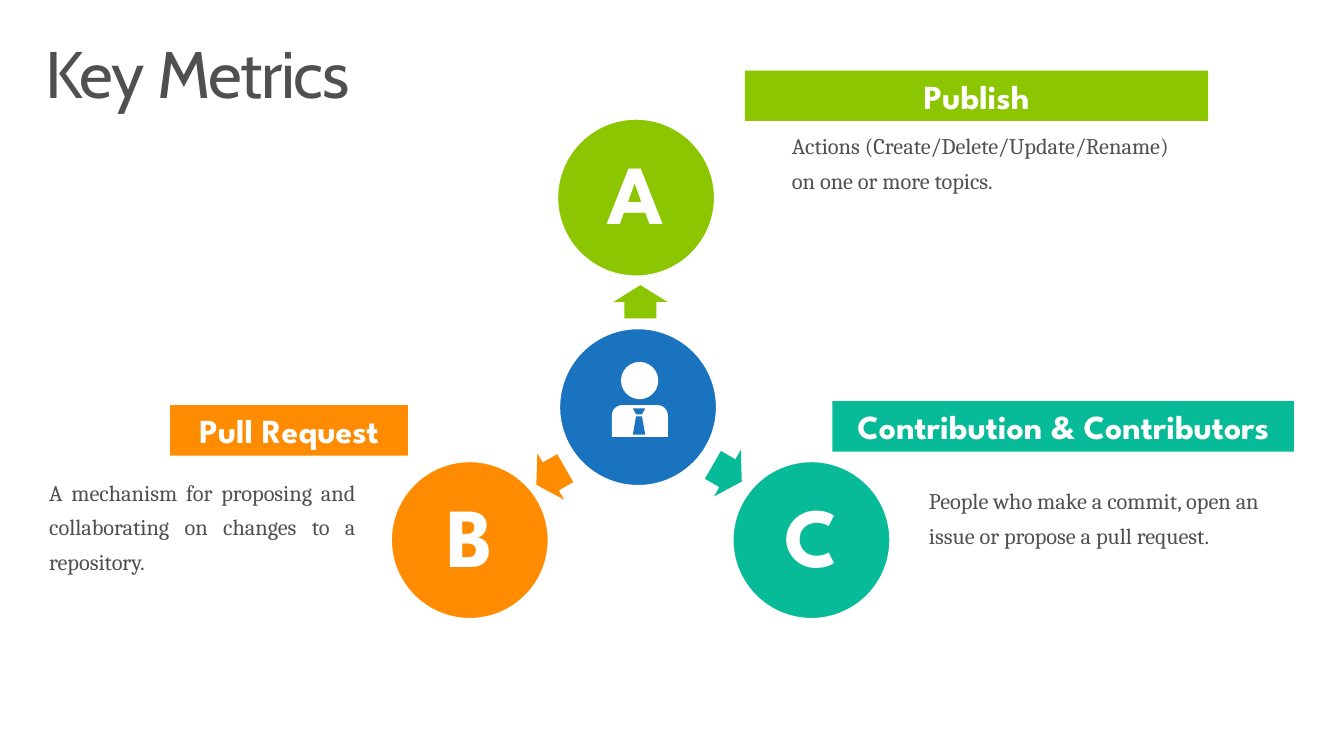
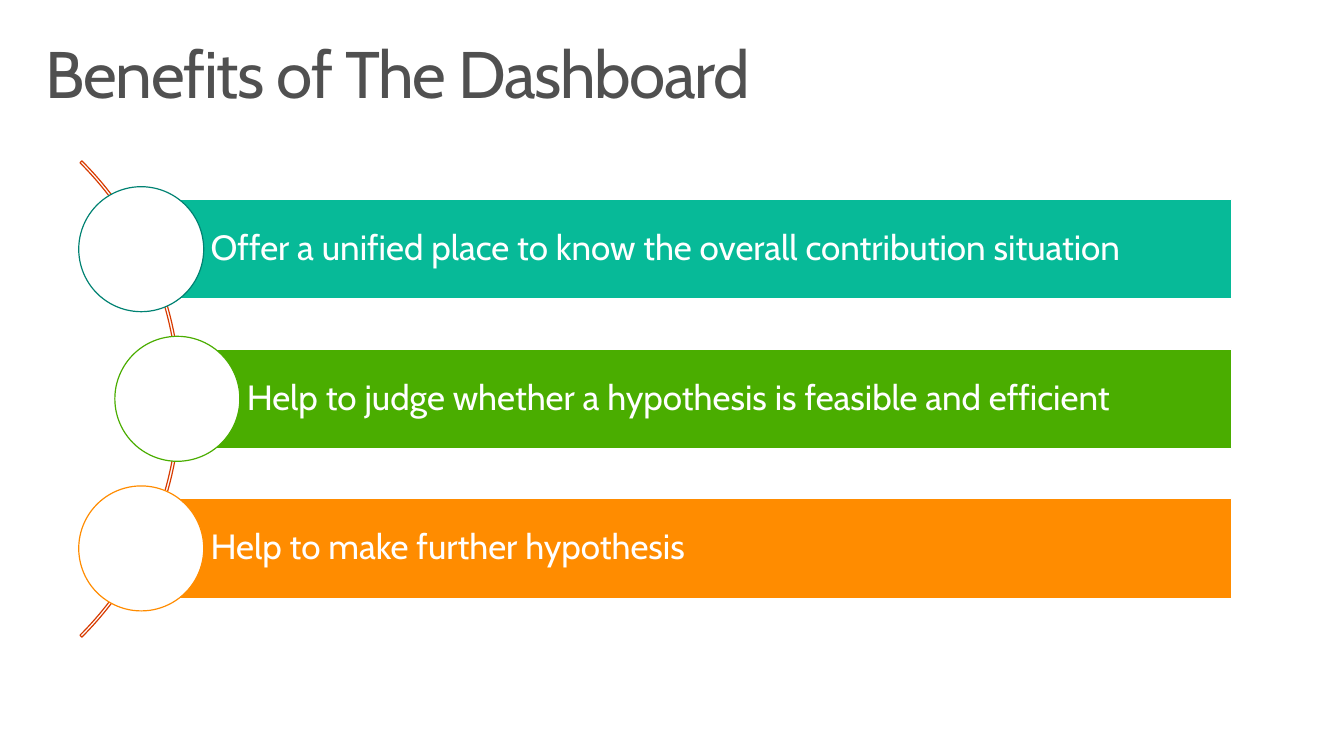
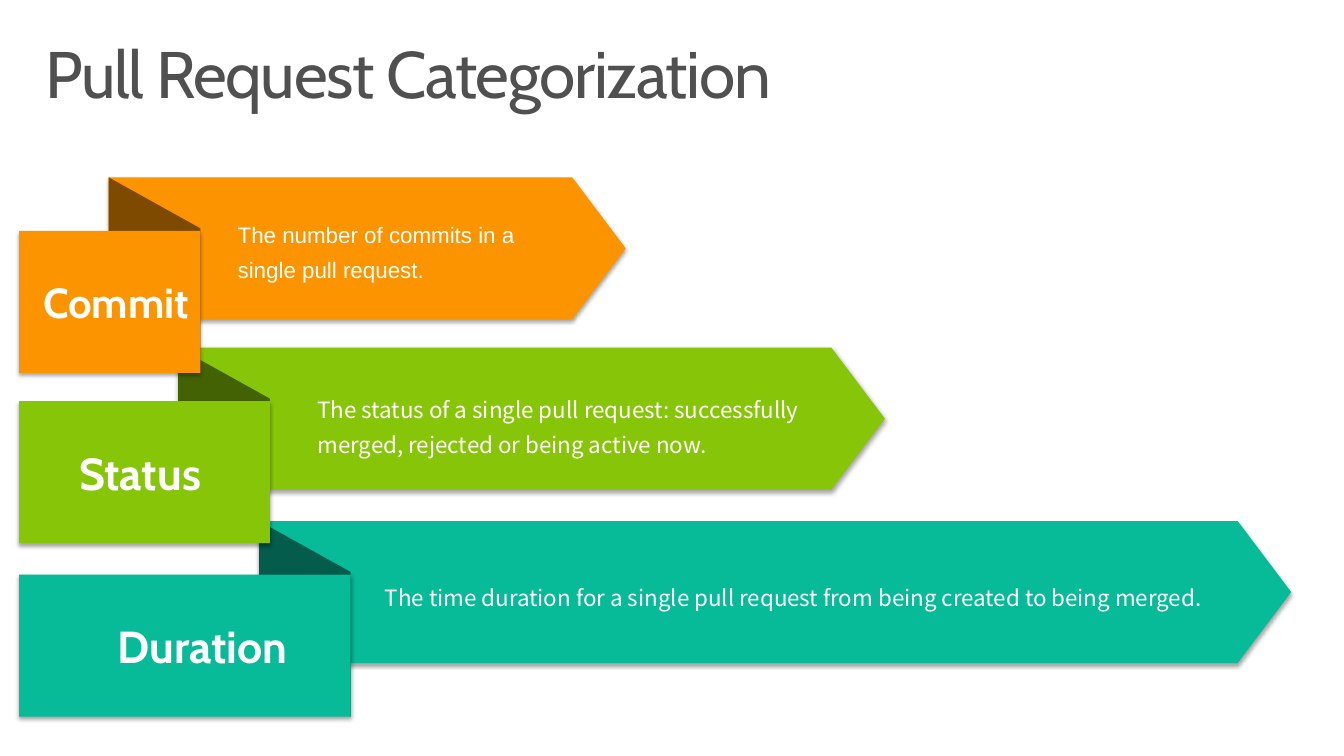
from lxml.etree import SubElement
from pptx import Presentation
from pptx.dml.color import RGBColor
from pptx.enum.shapes import MSO_SHAPE
from pptx.enum.text import MSO_ANCHOR, MSO_AUTO_SIZE, PP_ALIGN
from pptx.oxml.ns import qn
from pptx.util import Cm, Pt

# Shared style
WHITE, GREY, BLUE = "FFFFFF", "505050", "1973BF"
GREEN, TEAL, ORANGE = "8CC600", "07BA98", "FF8C00"
HEAD, BOLD, BODY, SANS = "Cabin", "League Spartan", "Cambria", "Noto Sans CJK SC"
LEFT, MID, RIGHT, FULL = PP_ALIGN.LEFT, PP_ALIGN.CENTER, PP_ALIGN.RIGHT, PP_ALIGN.JUSTIFY
TOP, CENTER = MSO_ANCHOR.TOP, MSO_ANCHOR.MIDDLE
PAD = (0.25, 0.13, 0.25, 0.13)


def tint(code):
    return RGBColor.from_string(code)


def write(shape, text, size=16, font=BODY, color=GREY, bold=False, align=LEFT,
          anchor=TOP, pad=PAD, lead=1.0, before=0, track=0):
    """Put one formatted paragraph into a shape."""
    frame = shape.text_frame
    frame.word_wrap = True
    frame.auto_size = MSO_AUTO_SIZE.NONE
    frame.vertical_anchor = anchor
    (frame.margin_left, frame.margin_top,
     frame.margin_right, frame.margin_bottom) = [Cm(v) for v in pad]
    para = frame.paragraphs[0]
    para.alignment, para.line_spacing = align, lead
    para.space_before = Pt(before)
    run = para.add_run()
    run.text = text
    face = run.font
    face.name, face.size, face.bold = font, Pt(size), bold
    face.color.rgb = tint(color)
    if track:
        face._element.set("spc", str(track * 100))


def paint(shape, fill=None, line=None, width=1):
    shape.shadow.inherit = False
    if fill:
        shape.fill.solid()
        shape.fill.fore_color.rgb = tint(fill)
    else:
        shape.fill.background()
    if line:
        shape.line.color.rgb = tint(line)
        shape.line.width = Pt(width)
    else:
        shape.line.fill.background()
    return shape


def draw(slide, kind, box, fill=None, line=None, width=1, turn=0, adjust=()):
    shape = slide.shapes.add_shape(kind, *[Cm(v) for v in box])
    for i, value in enumerate(adjust):
        shape.adjustments[i] = value
    shape.rotation = turn
    return paint(shape, fill, line, width)


def note(slide, box, text, **form):
    write(slide.shapes.add_textbox(*[Cm(v) for v in box]), text, lead=1.3, **form)


def shade(shape):
    """Give a shape a soft shadow below it."""
    effects = shape._element.spPr.find(qn("a:effectLst"))
    outer = SubElement(effects, qn("a:outerShdw"), blurRad=str(Pt(3.1)),
                       dist=str(Pt(1.8)), dir="5400000", algn="t", rotWithShape="0")
    black = SubElement(outer, qn("a:srgbClr"), val="000000")
    SubElement(black, qn("a:alpha"), val="35000")


def start(deck, text):
    """Add a slide with its title."""
    slide = deck.slides.add_slide(deck.slide_layouts[5])
    title = slide.shapes.title
    title.left, title.top, title.width, title.height = [
        Cm(v) for v in (0.74, 0.81, 32.36, 2.49)]
    write(title, text, size=47, font=HEAD, lead=0.9, track=-1,
          pad=(0.41, 0.25, 0.41, 0.25))
    return slide


# Key metrics
def disc(slide, x, y, color, letter=None):
    shape = draw(slide, MSO_SHAPE.OVAL, (x, y, 3.96, 3.96), color, WHITE)
    if letter:
        write(shape, letter, size=60, font=BOLD, color=WHITE, bold=True,
              align=MID, anchor=CENTER, pad=(0.69,) * 4, lead=0.9)


def person(slide, x, y):
    draw(slide, MSO_SHAPE.OVAL, (x + 0.23, y, 0.94, 0.94), WHITE)
    top = y + 1.09
    draw(slide, MSO_SHAPE.ROUND_2_SAME_RECTANGLE, (x, top, 1.41, 0.8),
         WHITE, adjust=(0.32, 0))
    knot = [(0.53, 0.08), (0.84, 0.08), (0.76, 0.23), (0.61, 0.23)]
    blade = [(0.61, 0.28), (0.76, 0.28), (0.84, 0.74), (0.53, 0.74)]
    knot, blade = [[(Cm(x + a), Cm(top + b)) for a, b in part]
                   for part in (knot, blade)]
    pen = slide.shapes.build_freeform(*knot[0])
    pen.add_line_segments(knot[1:])
    pen.move_to(*blade[0])
    pen.add_line_segments(blade[1:])
    paint(pen.convert_to_shape(), BLUE)


def metric(slide, letter, color, spot, arrow, turn, label, name, box, text, align=LEFT):
    draw(slide, MSO_SHAPE.RIGHT_ARROW, (*arrow, 0.84, 1.35), color,
         turn=turn, adjust=(0.6, 0.5))
    disc(slide, *spot, color, letter)
    band = draw(slide, MSO_SHAPE.RECTANGLE, (*label, 1.27), color)
    write(band, name, size=24, font=BOLD, color=WHITE, bold=True, align=MID)
    note(slide, box, text, align=align, before=6)


def metrics(deck):
    slide = start(deck, "Key Metrics")
    disc(slide, 14.1, 8.28, BLUE)
    person(slide, 15.42, 9.12)
    metric(slide, "C", TEAL, (18.47, 11.63), (17.91, 11.25), 30,
           (20.98, 10.11, 11.63), "Contribution & Contributors",
           (23.16, 11.94, 9.07, 2.03),
           "People who make a commit, open an issue or propose a pull request.")
    metric(slide, "B", ORANGE, (9.86, 11.63), (13.46, 11.33), 150,
           (4.29, 10.21, 5.99), "Pull Request", (0.99, 11.73, 8.23, 2.92),
           "A mechanism for proposing and collaborating on changes to a repository.",
           FULL)
    metric(slide, "A", GREEN, (14.05, 3), (15.72, 6.93), 270,
           (18.77, 1.78, 11.68), "Publish", (19.71, 3, 10.29, 2.03),
           "Actions (Create/Delete/Update/Rename) on one or more topics.")


# Benefits
def benefit(slide, x, y, color, rim, text):
    """Draw a bar from the centre (x, y) of its ball to the right edge."""
    size, tall, edge = 3.15, 2.51, 31.04
    bar = draw(slide, MSO_SHAPE.RECTANGLE, (x, y - tall / 2, edge - x, tall),
               color, WHITE, 0.85)
    write(bar, text, size=25, font=HEAD, color=WHITE, anchor=CENTER,
          pad=(1.75, 0.18, 0.18, 0.18), lead=0.9)
    draw(slide, MSO_SHAPE.OVAL, (x - size / 2, y - size / 2, size, size),
         WHITE, rim, 0.85)


def benefits(deck):
    slide = start(deck, "Benefits of The Dashboard")
    draw(slide, MSO_SHAPE.BLOCK_ARC, (-12.42, 1.57, 16.97, 16.97),
         line="D83B01", width=0.85, adjust=(189, 27, 0.004))
    rows = [
        (3.56, TEAL, "008272",
         "Offer a unified place to know the overall contribution situation"),
        (4.47, "4AAD00", "4AAD00",
         "Help to judge whether a hypothesis is feasible and efficient"),
        (3.56, ORANGE, ORANGE, "Help to make further hypothesis"),
    ]
    for i, (x, color, rim, text) in enumerate(rows):
        benefit(slide, x, 6.28 + 3.77 * i, color, rim, text)


# Pull request ribbons
def ribbon(slide, y, wide, tip, color, dark, name, size, gap):
    """Draw an arrow, its fold and its label; gap is right of the name."""
    left, tall, drop, fold = 0.48, 3.58, 1.35, 2.31
    x, span = left + wide - fold, tall + drop
    shade(draw(slide, MSO_SHAPE.PENTAGON, (x, y, tip - x, tall), color,
               adjust=(0.377,)))
    draw(slide, MSO_SHAPE.PARALLELOGRAM,
         (x + (fold - span) / 2, y + (span - fold) / 2, span, fold),
         dark, turn=270, adjust=(0.555,))
    label = draw(slide, MSO_SHAPE.RECTANGLE, (left, y + drop, wide, tall), color)
    shade(label)
    write(label, name, size=size, font=HEAD, color=WHITE, bold=True,
          align=RIGHT, anchor=CENTER, pad=(0.1, 0.13, gap, 0.13))


def ribbons(deck):
    slide = start(deck, "Pull Request Categorization")
    ribbon(slide, 13.13, 8.36, 32.54, TEAL, "045D4C", "Duration", 32, 1.6)
    ribbon(slide, 8.76, 6.32, 22.3, "87C509", "436204", "Status", 32, 1.73)
    ribbon(slide, 4.47, 4.57, 15.77, "FC9400", "7E4A00", "Commit", 30, 0.28)
    notes = [
        ((5.74, 5.23, 8.56, 2.03), "Arial",
         "The number of commits in a single pull request."),
        ((7.75, 9.65, 13.67, 1.96), SANS,
         "The status of a single pull request: successfully merged, "
         "rejected or being active now."),
        ((9.45, 14.38, 22.25, 1.14), SANS,
         "The time duration for a single pull request from being created "
         "to being merged."),
    ]
    for box, font, text in notes:
        note(slide, box, text, font=font, color=WHITE)


def main():
    deck = Presentation()
    deck.slide_width, deck.slide_height = Cm(33.87), Cm(19.05)
    metrics(deck)
    benefits(deck)
    ribbons(deck)
    deck.save("out.pptx")


if __name__ == "__main__":
    main()
